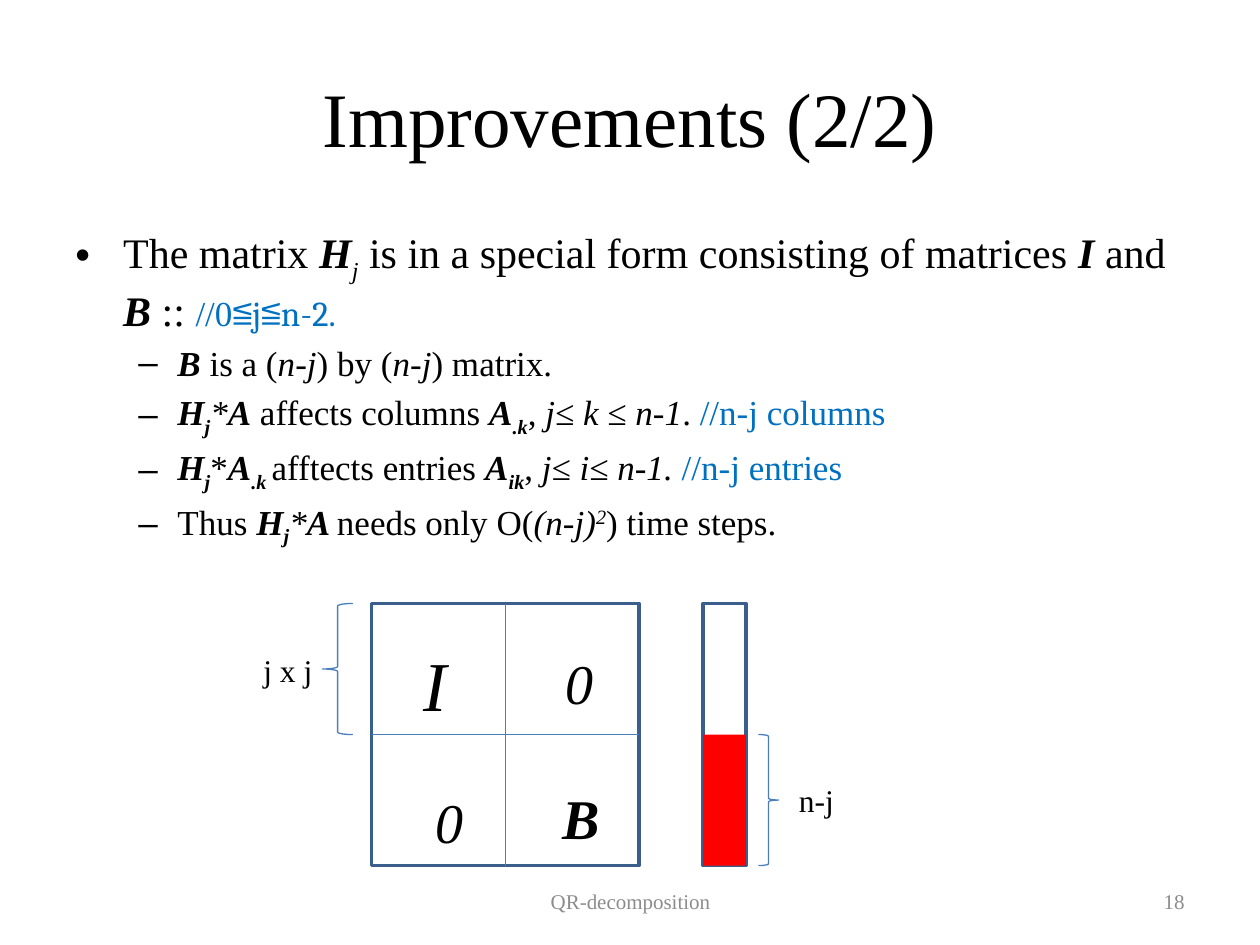
import pptx
import pptx.dml.color
import pptx.enum.shapes
import pptx.enum.text
import pptx.oxml.ns
import pptx.util
from lxml import etree

TITLE = "Improvements (2/2)"
BODY = [
    (0, [("The matrix ", ""), ("H", "bi"), ("j", "i_"),
         (" is in a special form consisting of matrices ", ""), ("I", "bi"),
         (" and ", ""), ("B ", "bi"), (":: ", ""), ("//0", "ns"), ("≦j≦n-2.", "nsm")]),
    (1, [("B", "bi"), (" is a (", ""), ("n-j", "i"), (") by (", ""), ("n-j", "i"),
         (") matrix.", "")]),
    (1, [("H", "bi"), ("j", "bi_"), ("*", "i"), ("A", "bi"), (" affects columns ", ""),
         ("A", "bi"), (".k", "bi_"), (", ", ""), ("j≤ k ≤ n-1", "i"), (". ", ""),
         ("//n-j columns", "n")]),
    (1, [("H", "bi"), ("j", "bi_"), ("*", ""), ("A", "bi"), (".k ", "bi_"),
         ("afftects entries ", ""), ("A", "bi"), ("ik", "bi_"), (", ", ""),
         ("j≤ i≤ n-1. ", "i"), ("//n-j entries", "n")]),
    (1, [("Thus ", ""), ("H", "bi"), ("j", "bi_"), ("*", "i"), ("A ", "bi"),
         ("needs only O(", ""), ("(n-j)", "i"), ("2", "i^"), (") time steps.", "")]),
]
LEVELS = [("•", 0.38, -0.38, "main"), ("–", 0.81, -0.31, "detail")]
BLOCKS = [
    ("0", (3.36, 6.15, 0.31, 0.53), "entry", "i"),
    ("0", (4.39, 5.05, 0.31, 0.53), "entry", "i"),
    ("I", (3.26, 4.99, 0.25, 0.64), "identity", "i"),
    ("B", (4.37, 6.12, 0.33, 0.53), "entry", "bi"),
]
BRACE_LABELS = [(" j x j", (1.93, 5.12, 0.66, 0.4)), (" n-j", (6.18, 6.15, 0.55, 0.4))]
FOOTERS = [("QR-decomposition", (3.42, 6.95, 3.17, 0.4), "CENTER"),
           ("18", (7.17, 6.95, 2.33, 0.4), "RIGHT")]
THEME = {
    "font": "Times New Roman", "math_font": "Cambria",
    "text": "000000", "note": "0070C0", "footer": "8C8C8C",
    "outline": "3A5F8C", "line": "4B7EBC", "affected": "FF0000",
    "sizes": {"title": 44, "main": 24, "detail": 20, "entry": 32,
              "identity": 40, "label": 18, "footer": 12},
}
MATRIX_LEFT, MATRIX_TOP, CELL_WIDTH, CELL_HEIGHT = 2.95, 4.79, 1.06, 1.04
MIDDLE = MATRIX_TOP + CELL_HEIGHT
VECTOR_LEFT, VECTOR_WIDTH = 5.58, 0.34
SHAPES = pptx.enum.shapes.MSO_SHAPE
ALIGN = pptx.enum.text.PP_ALIGN
ANCHOR = pptx.enum.text.MSO_ANCHOR

presentation = pptx.Presentation()
presentation.slide_width = pptx.util.Inches(10)
presentation.slide_height = pptx.util.Inches(7.5)
slide = presentation.slides.add_slide(presentation.slide_layouts[6])


def inches(box):
    return [pptx.util.Inches(length) for length in box]


def color(name):
    return pptx.dml.color.RGBColor.from_string(THEME[name])


def format_run(run, size, style="", color_name="text"):
    font = run.font
    font.name = THEME["math_font" if "m" in style else "font"]
    font.size = pptx.util.Pt(THEME["sizes"]["detail" if "s" in style else size])
    font.bold, font.italic = "b" in style, "i" in style
    font.color.rgb = color("note" if "n" in style else color_name)
    for mark, baseline in (("_", "-25000"), ("^", "30000")):
        if mark in style:
            run.font._element.set("baseline", baseline)


def add_text(text, box, size, style="", color_name="text", align="LEFT",
             anchor=ANCHOR.TOP, wrap=True):
    frame = slide.shapes.add_textbox(*inches(box)).text_frame
    frame.word_wrap = wrap
    frame.vertical_anchor = anchor
    paragraph = frame.paragraphs[0]
    paragraph.text = text
    paragraph.alignment = ALIGN[align]
    for run in paragraph.runs:
        format_run(run, size, style, color_name)
    return frame


def add_property(parent, tag, **attributes):
    return etree.SubElement(parent, pptx.oxml.ns.qn(tag), attributes)


def add_body(box):
    frame = slide.shapes.add_textbox(*inches(box)).text_frame
    frame.word_wrap = True
    for index, (level, runs) in enumerate(BODY):
        paragraph = frame.add_paragraph() if index else frame.paragraphs[0]
        bullet, margin, indent, size = LEVELS[level]
        paragraph.level = level
        properties = paragraph._p.get_or_add_pPr()
        properties.set("marL", str(pptx.util.Inches(margin)))
        properties.set("indent", str(pptx.util.Inches(indent)))
        spacing = add_property(properties, "a:spcBef")
        add_property(spacing, "a:spcPct", val="20000")
        add_property(properties, "a:buFont", typeface="Arial")
        add_property(properties, "a:buChar", char=bullet)
        for text, style in runs:
            run = paragraph.add_run()
            run.text = text
            format_run(run, size, style)


def add_figure(kind, box, fill=None, line=None, width=0.75):
    shape = slide.shapes.add_shape(kind, *inches(box))
    shape.shadow.inherit = False
    if fill:
        shape.fill.solid()
        shape.fill.fore_color.rgb = color(fill)
    else:
        shape.fill.background()
    if line:
        shape.line.color.rgb = color(line)
        shape.line.width = pptx.util.Pt(width)
    else:
        shape.line.fill.background()
    return shape


def add_divider(rectangle, begin_site, end_site):
    connector = slide.shapes.add_connector(pptx.enum.shapes.MSO_CONNECTOR.STRAIGHT, 0, 0, 0, 0)
    connector.begin_connect(rectangle, begin_site)
    connector.end_connect(rectangle, end_site)
    connector.line.color.rgb = color("line")
    connector.line.width = pptx.util.Pt(0.75)
    add_property(connector._element.spPr, "a:effectLst")


add_text(TITLE, (0.5, 0.3, 9, 1.25), "title", align="CENTER", anchor=ANCHOR.MIDDLE)
add_body((0.5, 1.75, 9, 4.95))

matrix = add_figure(SHAPES.RECTANGLE, (MATRIX_LEFT, MATRIX_TOP, 2 * CELL_WIDTH, 2 * CELL_HEIGHT),
                    line="outline", width=2)
add_divider(matrix, 1, 3)
add_divider(matrix, 0, 2)
for text, box, size, style in BLOCKS:
    frame = add_text(text, box, size, style, wrap=False)
    frame.margin_top = pptx.util.Inches(0.1)
    frame.margin_right = frame.margin_bottom = 0

add_figure(SHAPES.RECTANGLE, (VECTOR_LEFT, MATRIX_TOP, VECTOR_WIDTH, 2 * CELL_HEIGHT),
           line="outline", width=2)
add_figure(SHAPES.RECTANGLE, (VECTOR_LEFT, MIDDLE, VECTOR_WIDTH, CELL_HEIGHT), fill="affected")

for text, box, align in FOOTERS:
    add_text(text, box, "footer", color_name="footer", align=align, anchor=ANCHOR.MIDDLE)
add_figure(SHAPES.LEFT_BRACE, (2.56, MATRIX_TOP, 0.24, CELL_HEIGHT), line="line")
add_figure(SHAPES.RIGHT_BRACE, (6.02, MIDDLE, 0.16, CELL_HEIGHT), line="line")
for text, box in BRACE_LABELS:
    add_text(text, box, "label", wrap=False)

presentation.save("out.pptx")
